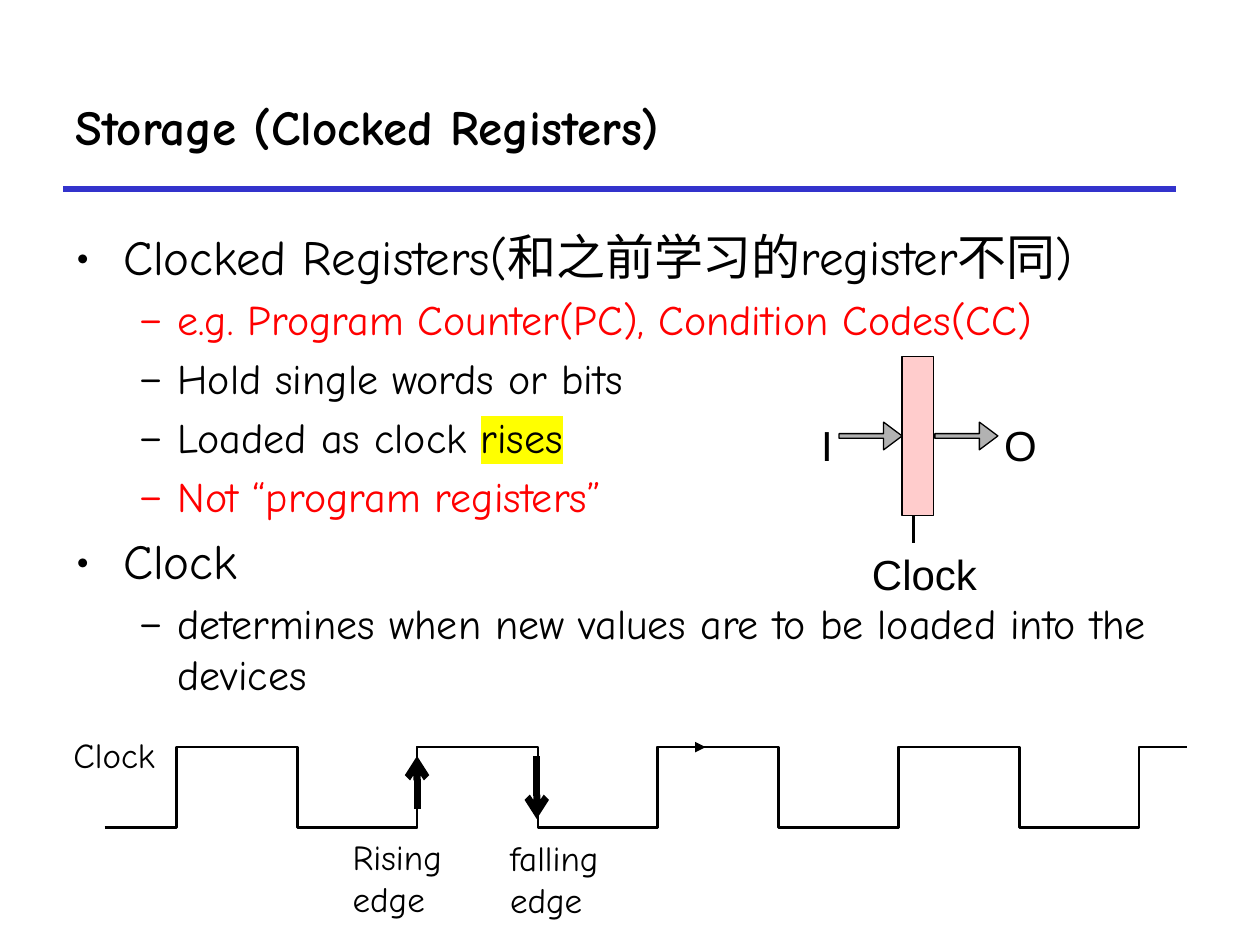
from lxml import etree
from pptx import Presentation
from pptx.dml.color import RGBColor
from pptx.enum.shapes import MSO_CONNECTOR, MSO_SHAPE
from pptx.enum.text import MSO_ANCHOR, PP_ALIGN
from pptx.oxml.ns import qn
from pptx.util import Inches, Pt

RECTANGLE = MSO_SHAPE.RECTANGLE
RIGHT_ARROW = MSO_SHAPE.RIGHT_ARROW
STRAIGHT = MSO_CONNECTOR.STRAIGHT
TOP, MIDDLE = MSO_ANCHOR.TOP, MSO_ANCHOR.MIDDLE
LEFT, RIGHT = PP_ALIGN.LEFT, PP_ALIGN.RIGHT

COLORS = {
    "text": "000000",
    "rule": "3333CC",
    "accent": "FF0000",
    "highlight": "FFFF00",
    "register": "FFCCCC",
    "arrow": "B2B2B2",
}
HAND, SANS = "Comic Neue", "Arial"

# Per outline level: bullet, text size, left margin, hanging indent
LEVELS = [("•", 28, 0.38, -0.38), ("–", 24, 0.81, -0.31)]

# Outline entries: level, colour, runs as (text, highlighted)
OUTLINE = [
    (0, "text", [("Clocked Registers(和之前学习的register不同)", False)]),
    (1, "accent", [("e.g. Program Counter(PC), Condition Codes(CC)", False)]),
    (1, "text", [("Hold single words or bits", False)]),
    (1, "text", [("Loaded as clock ", False), ("rises", True)]),
    (1, "accent", [("Not “program registers”", False)]),
    (0, "text", [("Clock", False)]),
    (1, "text", [("determines when new values are to be loaded into the devices", False)]),
]

# Clock wave
PERIOD, WAVE_START = 1.91, 0.83
HIGH, LOW = 5.93, 6.57
# Offsets within one segment, which overlaps the start of the next
RISE, FALL, NEXT_RISE, SEGMENT_END = 0.57, 1.53, 2.48, 2.86


def rgb(name):
    return RGBColor.from_string(COLORS[name])


class SlideWriter:
    """Holds the slide being drawn and the style shared by its elements."""

    def __init__(self, slide):
        self.slide = slide
        self.shapes = slide.shapes

    def style_line(self, line, color, width, head=None):
        line.color.rgb = rgb(color)
        line.width = Pt(width)
        if head:
            etree.SubElement(line._ln, qn("a:tailEnd"), type=head)

    def frame(self, left, top, width, height, inset=0.05, wrap=True, anchor=TOP):
        """Add a text box and return its text frame."""
        box = self.shapes.add_textbox(
            Inches(left), Inches(top), Inches(width), Inches(height))
        settings = {
            "word_wrap": wrap,
            "vertical_anchor": anchor,
            "margin_left": Inches(inset),
            "margin_right": Inches(inset),
            "margin_top": Inches(0.05),
            "margin_bottom": Inches(0.05),
        }
        for name, value in settings.items():
            setattr(box.text_frame, name, value)
        return box.text_frame

    def run(self, paragraph, text, size, font=HAND, color="text", bold=False,
            highlighted=False):
        run = paragraph.add_run()
        run.text = text
        run.font.color.rgb = rgb(color)
        if highlighted:
            mark = etree.SubElement(run.font._element, qn("a:highlight"))
            etree.SubElement(mark, qn("a:srgbClr"), val=COLORS["highlight"])
        for name, value in {"size": Pt(size), "bold": bold, "name": font}.items():
            setattr(run.font, name, value)

    def label(self, lines, place, size, font=HAND, align=LEFT, bold=False, **layout):
        frame = self.frame(*place, **layout)
        for index, line in enumerate(lines):
            paragraph = frame.add_paragraph() if index else frame.paragraphs[0]
            paragraph.alignment = align
            self.run(paragraph, line, size, font, bold=bold)

    def outline(self, entries, place):
        frame = self.frame(*place, inset=0.1)
        for index, (level, color, runs) in enumerate(entries):
            bullet, size, margin, indent = LEVELS[level]
            paragraph = frame.add_paragraph() if index else frame.paragraphs[0]
            paragraph.level = level
            properties = paragraph._p.get_or_add_pPr()
            properties.set("marL", str(Inches(margin)))
            properties.set("indent", str(Inches(indent)))
            etree.SubElement(properties, qn("a:buFont"), typeface=HAND)
            etree.SubElement(properties, qn("a:buChar"), char=bullet)
            if index:
                paragraph.space_before = Pt(size * 0.2)
            for text, highlighted in runs:
                self.run(paragraph, text, size, color=color, highlighted=highlighted)

    def block(self, kind, place, fill, adjustments=()):
        shape = self.shapes.add_shape(kind, *map(Inches, place))
        shape.shadow.inherit = False
        for index, value in enumerate(adjustments):
            shape.adjustments[index] = value
        shape.fill.solid()
        shape.fill.fore_color.rgb = rgb(fill)
        self.style_line(shape.line, "text", 0.75)

    def line(self, start, end, width, color="text", head=None):
        connector = self.shapes.add_connector(
            STRAIGHT, *map(Inches, (*start, *end)))
        etree.SubElement(connector._element.spPr, qn("a:effectLst"))
        # The line properties are inserted ahead of the effect list
        self.style_line(connector.line, color, width, head)

    def polyline(self, points, width, head=None):
        corners = [(Inches(x), Inches(y)) for x, y in points]
        builder = self.shapes.build_freeform(*corners[0])
        builder.add_line_segments(corners[1:], close=False)
        shape = builder.convert_to_shape()
        shape.shadow.inherit = False
        shape.fill.background()
        self.style_line(shape.line, "text", width, head)


def draw_register(writer):
    writer.block(RECTANGLE, (7.16, 2.83, 0.25, 1.26), "register")
    for left in (6.66, 7.42):
        writer.block(RIGHT_ARROW, (left, 3.35, 0.5, 0.22), "arrow", (0.167, 0.667))
    writer.label(["I"], (6.16, 3.28, 0.5, 0.45), 24, SANS, RIGHT)
    writer.label(["O"], (7.92, 3.28, 0.5, 0.45), 24, SANS)
    writer.line((7.25, 4.09), (7.25, 4.31), 1.5)
    writer.label(["Clock"], (6.87, 4.3, 0.95, 0.45), 24, SANS, wrap=False)


def draw_clock_wave(writer):
    for cycle in range(4):
        left = WAVE_START + cycle * PERIOD
        steps = [(0, LOW), (RISE, LOW), (RISE, HIGH), (FALL, HIGH), (FALL, LOW),
                 (NEXT_RISE, LOW), (NEXT_RISE, HIGH), (SEGMENT_END, HIGH)]
        writer.polyline([(left + x, y) for x, y in steps], 1.5,
                        "triangle" if cycle == 1 else None)
    writer.label(["Clock"], (0.1, 5.77, 1.18, 0.45), 20, align=RIGHT)
    writer.label(["Rising", "edge"], (2.7, 6.58, 1.05, 0.77), 20, inset=0.1, wrap=False)
    writer.label(["falling", "edge"], (3.95, 6.59, 1.1, 0.77), 20, inset=0.1, wrap=False)
    writer.line((3.31, 6.42), (3.31, 6), 4, head="arrow")
    writer.line((4.26, 6), (4.26, 6.5), 4, head="arrow")


def main():
    deck = Presentation()
    deck.slide_width, deck.slide_height = Inches(10), Inches(7.5)
    writer = SlideWriter(deck.slides.add_slide(deck.slide_layouts[6]))
    writer.line((0.5, 1.5), (9.33, 1.5), 3, "rule")
    writer.label(["Storage (Clocked Registers)"], (0.5, 0.5, 8.83, 1), 28,
                 bold=True, inset=0.1, anchor=MIDDLE)
    writer.outline(OUTLINE, (0.5, 1.75, 9.08, 4.58))
    draw_register(writer)
    draw_clock_wave(writer)
    deck.save("out.pptx")


if __name__ == "__main__":
    main()
